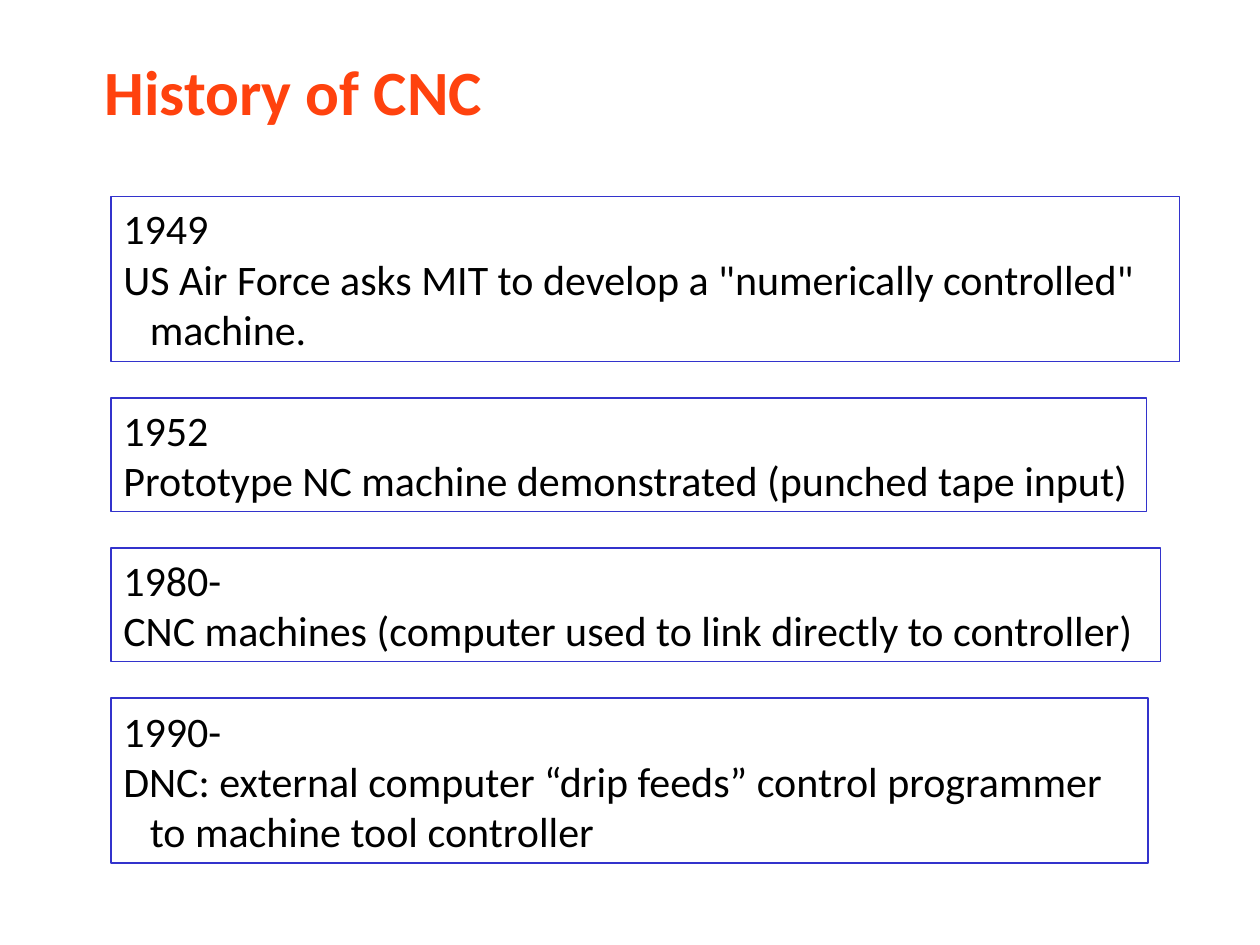
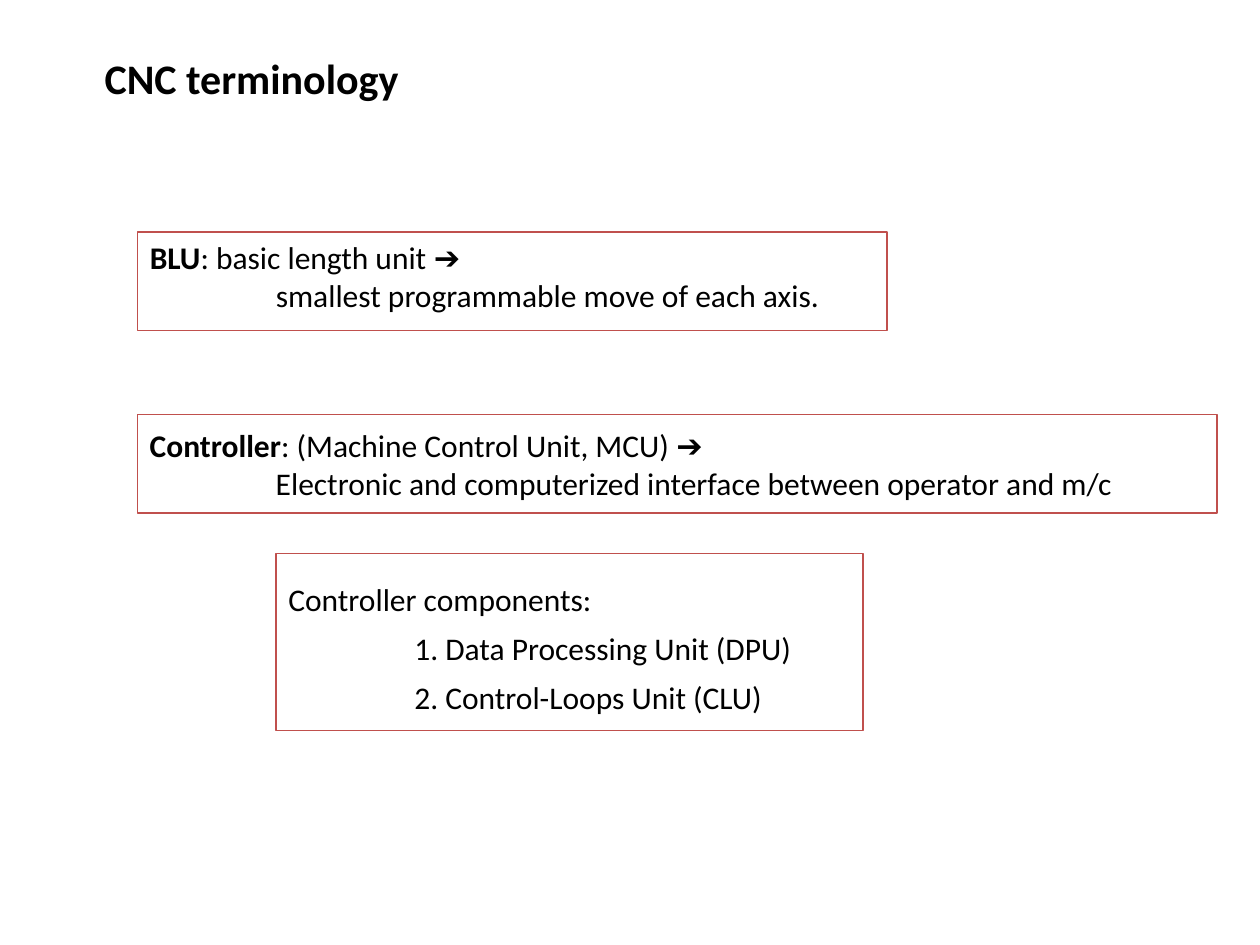
from dataclasses import dataclass

from pptx import Presentation
from pptx.dml.color import RGBColor
from pptx.enum.shapes import MSO_SHAPE
from pptx.enum.text import MSO_ANCHOR, MSO_AUTO_SIZE, PP_ALIGN
from pptx.util import Pt

RECTANGLE = MSO_SHAPE.RECTANGLE
TOP, MIDDLE = MSO_ANCHOR.TOP, MSO_ANCHOR.MIDDLE
LEFT = PP_ALIGN.LEFT
FIXED_SIZE = MSO_AUTO_SIZE.NONE
TITLE_ONLY = 5


@dataclass(frozen=True)
class Theme:
    """Colours, font and type sizes of the presentation."""

    font: str = "Calibri"
    text: RGBColor = RGBColor(0x00, 0x00, 0x00)
    accent: RGBColor = RGBColor(0xFF, 0x42, 0x0E)
    history_line: RGBColor = RGBColor(0x33, 0x33, 0xCC)
    term_line: RGBColor = RGBColor(0xC0, 0x50, 0x4D)
    line_width: float = 0.75
    large_title: int = 36
    heading: int = 24
    body: int = 18
    hanging: float = 15.12
    tab: int = 72


THEME = Theme()

TITLE_LEFT, TITLE_TOP = 52.56, 26.64

MILESTONES = [
    ("1949", 'US Air Force asks MIT to develop a "numerically controlled" machine.', 610.6, 94.3, TOP),
    ("1952", "Prototype NC machine demonstrated (punched tape input)", 591.8, 64.8, MIDDLE),
    ("1980-", "CNC machines (computer used to link directly to controller)", 599.8, 64.8, MIDDLE),
    ("1990-", "DNC: external computer “drip feeds” control programmer to machine tool controller",
     592.6, 94.3, MIDDLE),
]

DEFINITIONS = [
    ("BLU", ": basic length unit ➔", "smallest programmable move of each axis.",
     (78.5, 132.5, 428.4, 56.2), TOP),
    ("Controller", ": (Machine Control Unit, MCU) ➔",
     "Electronic and computerized interface between operator and m/c",
     (78.5, 236.9, 617, 56.2), MIDDLE),
]

COMPONENTS = ["Controller components:", "1. Data Processing Unit (DPU)", "2. Control-Loops Unit (CLU)"]


def format_text(text_frame, size, color=THEME.text, bold=False):
    """Left-align every paragraph and style every run."""
    for paragraph in text_frame.paragraphs:
        paragraph.alignment = LEFT
        for run in paragraph.runs:
            run.font.name = THEME.font
            run.font.size = Pt(size)
            run.font.bold = bold
            run.font.color.rgb = color


def indent(paragraph, margin, first_line=0):
    """Set the left margin and first-line offset of a paragraph."""
    properties = paragraph._p.get_or_add_pPr()
    properties.set("marL", str(Pt(margin)))
    properties.set("indent", str(Pt(first_line)))


def add_titled_slide(presentation, title, width, height, size, color):
    """Add a title-only slide with its title at the shared corner."""
    slide = presentation.slides.add_slide(presentation.slide_layouts[TITLE_ONLY])
    shape = slide.shapes.title
    shape.left, shape.top = Pt(TITLE_LEFT), Pt(TITLE_TOP)
    shape.width, shape.height = Pt(width), Pt(height)
    text_frame = shape.text_frame
    text_frame.text = title
    text_frame.word_wrap = False
    text_frame.auto_size = FIXED_SIZE
    text_frame.vertical_anchor = MIDDLE
    format_text(text_frame, size, color, bold=True)
    return slide


def add_outlined_box(slide, box, lines, line_color, size, anchor):
    """Draw an unfilled outlined box with one paragraph per line of text."""
    shape = slide.shapes.add_shape(RECTANGLE, *map(Pt, box))
    shape.shadow.inherit = False
    shape.fill.background()
    shape.line.color.rgb = line_color
    shape.line.width = Pt(THEME.line_width)
    text_frame = shape.text_frame
    text_frame.word_wrap = True
    text_frame.vertical_anchor = anchor
    text_frame.text = "\n".join(lines)
    format_text(text_frame, size)
    return text_frame


def add_timeline(slide, left, top, gap):
    """Stack the milestone boxes downwards with equal gaps."""
    for year, event, width, height, anchor in MILESTONES:
        text_frame = add_outlined_box(slide, (left, top, width, height), (year, event),
                                      THEME.history_line, THEME.heading, anchor)
        for paragraph in text_frame.paragraphs:
            indent(paragraph, THEME.hanging, -THEME.hanging)
        top += height + gap


def add_definition(slide, term, expansion, meaning, box, anchor):
    """Draw a box with a bold term, its expansion and an indented meaning."""
    text_frame = add_outlined_box(slide, box, (term, meaning), THEME.term_line, THEME.body, anchor)
    first, second = text_frame.paragraphs
    first.add_run().text = expansion
    format_text(text_frame, THEME.body)
    first.runs[0].font.bold = True
    indent(second, THEME.tab)


def add_components(slide, box):
    """Draw the list of controller components with its items indented."""
    text_frame = add_outlined_box(slide, box, COMPONENTS, THEME.term_line, THEME.body, MIDDLE)
    for paragraph in text_frame.paragraphs:
        paragraph.line_spacing = 1.3
    for paragraph in text_frame.paragraphs[1:]:
        indent(paragraph, THEME.tab)


def build_history_slide(presentation):
    """Build the timeline slide."""
    slide = add_titled_slide(presentation, "History of CNC", 239, 50.4, THEME.large_title, THEME.accent)
    add_timeline(slide, 63.4, 112.3, 20.9)


def build_terminology_slide(presentation):
    """Build the slide of definitions."""
    slide = add_titled_slide(presentation, "CNC terminology", 202.3, 36, THEME.heading, THEME.text)
    for definition in DEFINITIONS:
        add_definition(slide, *definition)
    add_components(slide, (157.7, 316.1, 335.5, 101.5))


def main():
    """Build and save the presentation."""
    presentation = Presentation()
    presentation.slide_width, presentation.slide_height = Pt(720), Pt(540)
    build_history_slide(presentation)
    build_terminology_slide(presentation)
    presentation.save("out.pptx")


if __name__ == "__main__":
    main()
